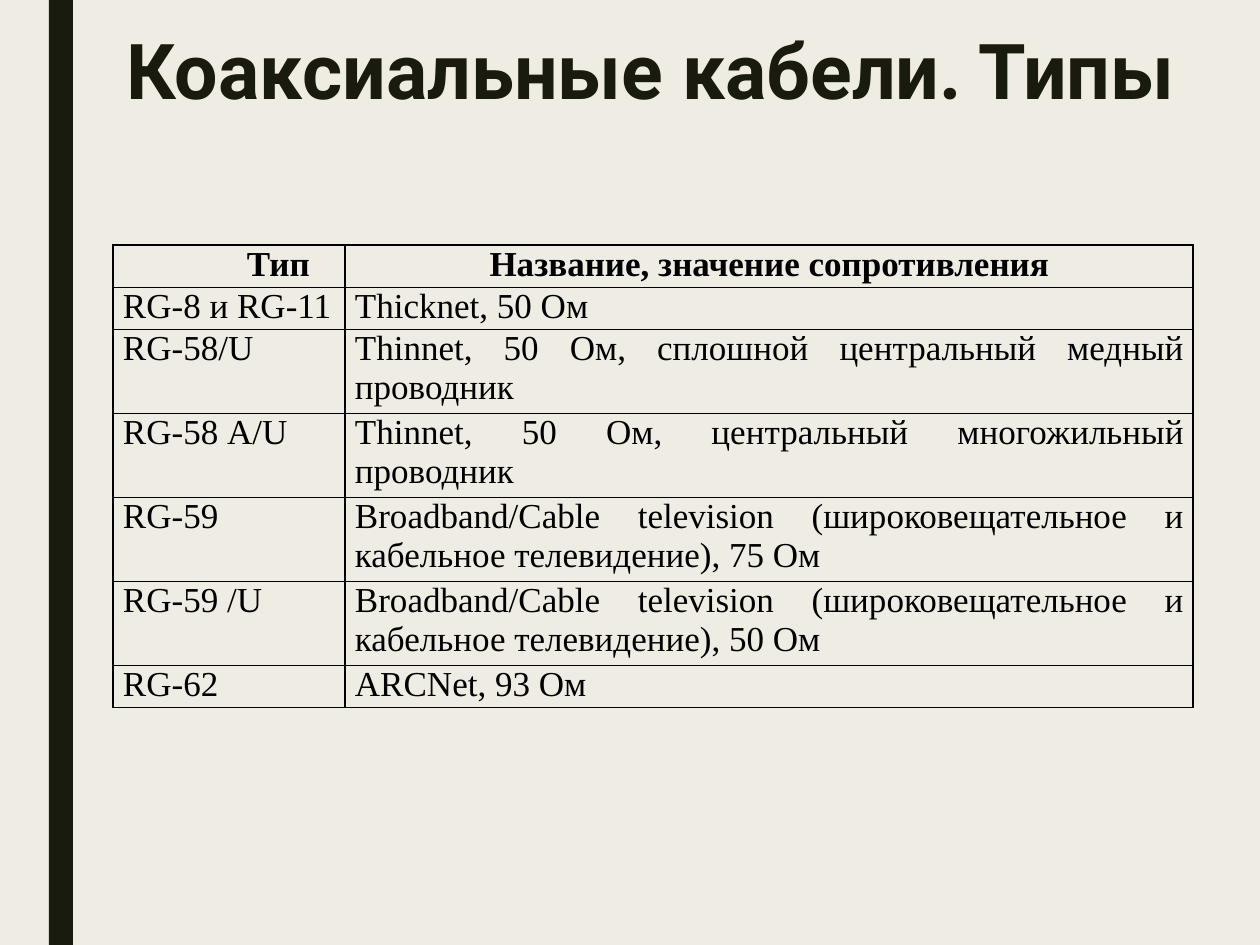
from lxml.etree import SubElement
from pptx import Presentation
from pptx.dml.color import RGBColor
from pptx.enum.shapes import MSO_SHAPE
from pptx.enum.text import MSO_ANCHOR, PP_ALIGN
from pptx.oxml.ns import qn
from pptx.util import Emu, Pt

PX = 914400 // 126
CREAM = RGBColor(0xEF, 0xED, 0xE3)
DARK = RGBColor(0x19, 0x1B, 0x0E)
BLACK = RGBColor(0, 0, 0)

HEADER = ("Тип", "Название, значение сопротивления")
CABLES = [
    ("RG-8 и RG-11", "Thicknet, 50 Ом"),
    ("RG-58/U", "Thinnet, 50 Ом, сплошной центральный медный проводник"),
    ("RG-58 А/U", "Thinnet, 50 Ом, центральный многожильный проводник"),
    ("RG-59", "Broadband/Cable television (широковещательное и кабельное телевидение), 75 Ом"),
    ("RG-59 /U", "Broadband/Cable television (широковещательное и кабельное телевидение), 50 Ом"),
    ("RG-62", "ARCNet, 93 Ом"),
]
COLUMNS = (232, 848)
LINE_HEIGHT = 39
LINES = (1, 1, 2, 2, 2, 2, 1)
TYPE_INDENT = 124


def px(length):
    return Emu(length * PX)


class SlideBuilder:
    title_font = "Roboto"
    table_font = "Times New Roman"

    def __init__(self, slide):
        self.slide = slide
        fill = slide.background.fill
        fill.solid()
        fill.fore_color.rgb = CREAM

    def style(self, para, name, size, color, bold):
        for span in para.runs:
            font = span.font
            font.name, font.size, font.bold = name, Pt(size), bold
            font.color.rgb = color

    def bar(self, left, top, width, height):
        shape = self.slide.shapes.add_shape(
            MSO_SHAPE.RECTANGLE, px(left), px(top), px(width), px(height))
        shape.shadow.inherit = False
        shape.fill.solid()
        shape.fill.fore_color.rgb = DARK
        shape.line.fill.background()

    def title(self, text, left, top, width, height):
        box = self.slide.shapes.add_textbox(px(left), px(top), px(width), px(height))
        frame = box.text_frame
        frame.text = text
        frame.word_wrap = True
        frame.vertical_anchor = MSO_ANCHOR.TOP
        frame.margin_left, frame.margin_right = px(13), px(10)
        frame.margin_top, frame.margin_bottom = px(6), 0
        para = frame.paragraphs[0]
        para.line_spacing = 0.89
        self.style(para, self.title_font, 44, DARK, True)

    def table(self, rows, left, top):
        height = LINE_HEIGHT * sum(LINES)
        table = self.slide.shapes.add_table(
            len(rows), len(COLUMNS), px(left), px(top), px(sum(COLUMNS)), px(height)).table
        for column, width in zip(table.columns, COLUMNS):
            column.width = px(width)
        for r, (texts, lines) in enumerate(zip(rows, LINES)):
            table.rows[r].height = px(LINE_HEIGHT * lines)
            for c, text in enumerate(texts):
                self.cell(table.cell(r, c), text, bold=r == 0)
        # The first heading is indented, the second centred
        first, second = (table.cell(0, c).text_frame.paragraphs[0] for c in (0, 1))
        first.alignment = PP_ALIGN.LEFT
        first._p.get_or_add_pPr().set("marL", str(px(TYPE_INDENT)))
        second.alignment = PP_ALIGN.CENTER

    def cell(self, cell, text, bold):
        cell.text_frame.text = text
        cell.margin_left, cell.margin_right = px(10), px(9)
        cell.margin_top = cell.margin_bottom = 0
        cell.fill.background()
        para = cell.text_frame.paragraphs[0]
        para.alignment = PP_ALIGN.JUSTIFY
        self.style(para, self.table_font, 20, BLACK, bold)
        self.borders(cell)

    def borders(self, cell):
        properties = cell._tc.get_or_add_tcPr()
        for index, side in enumerate(("lnL", "lnR", "lnT", "lnB")):
            line = SubElement(properties, qn(f"a:{side}"), w=str(Pt(0.75)))
            fill = SubElement(line, qn("a:solidFill"))
            SubElement(fill, qn("a:srgbClr"), val=str(BLACK))
            properties.insert(index, line)  # borders come before the fill


def main():
    deck = Presentation()
    deck.slide_width, deck.slide_height = px(1260), px(945)
    page = SlideBuilder(deck.slides.add_slide(deck.slide_layouts[6]))

    # Side bar and heading
    page.bar(49, 0, 24, 945)
    page.title("Коаксиальные кабели. Типы", 113, 28, 1080, 106)

    # Cable types
    page.table([HEADER, *CABLES], 113, 245)

    deck.save("out.pptx")


if __name__ == "__main__":
    main()
